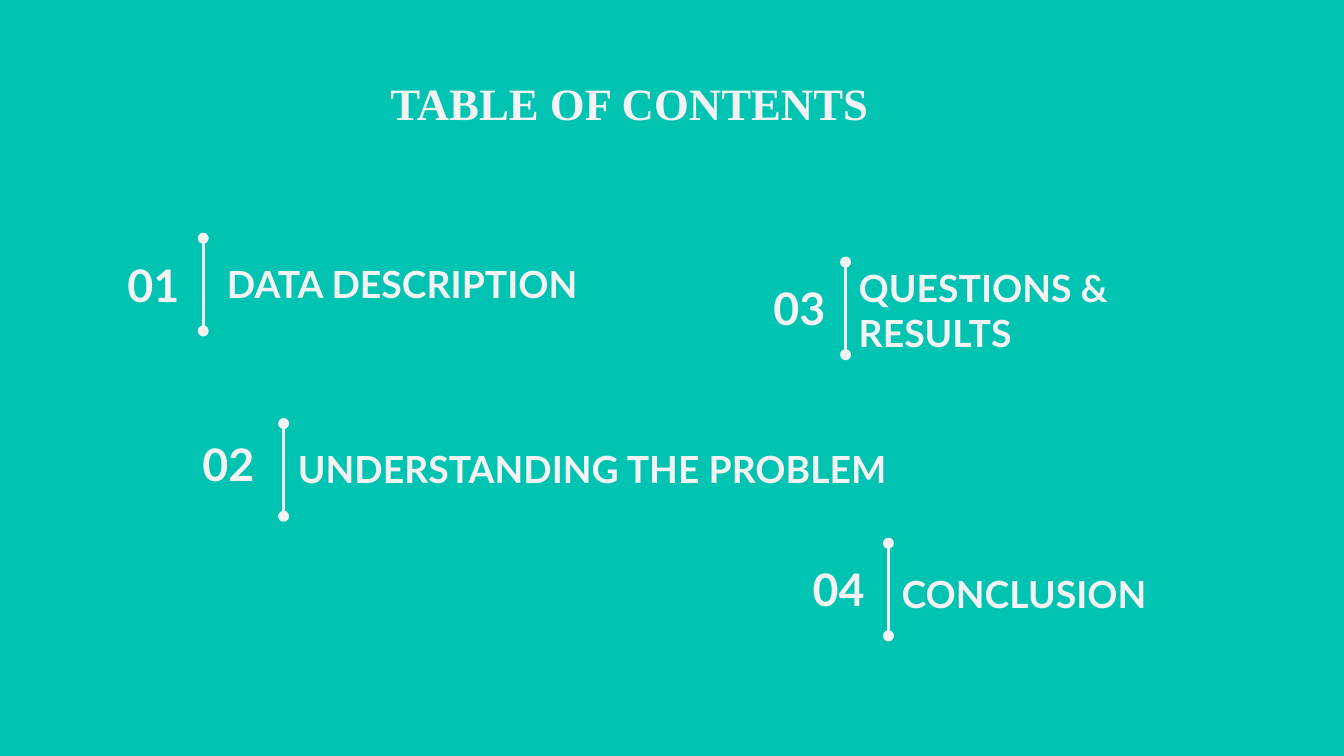
"""Build a table of contents slide with four numbered entries."""
from lxml.etree import SubElement
from pptx import Presentation
from pptx.dml.color import RGBColor
from pptx.enum.shapes import MSO_CONNECTOR
from pptx.enum.text import MSO_ANCHOR, MSO_AUTO_SIZE, PP_ALIGN
from pptx.oxml.ns import qn
from pptx.util import Cm, Pt

TEAL, WHITE = "00C3B1", "F3F3F3"
ROW_H, NUMBER_W, LINE_H = 1.17, 1.68, 1.75


def rgb(value):
    return RGBColor.from_string(value)


def put_text(sp, text, size=20, font="Lato", align=PP_ALIGN.LEFT, anchor=MSO_ANCHOR.MIDDLE):
    tf = sp.text_frame
    tf.word_wrap = True
    tf.auto_size = MSO_AUTO_SIZE.NONE
    tf.vertical_anchor = anchor
    tf.margin_left = tf.margin_right = tf.margin_top = tf.margin_bottom = Cm(0.25)
    p = tf.paragraphs[0]
    p.alignment = align
    r = p.add_run()
    r.text = text
    r.font.size = Pt(size)
    r.font.name = font
    r.font.bold = True
    r.font.color.rgb = rgb(WHITE)


prs = Presentation()
prs.slide_width, prs.slide_height = Cm(25.4), Cm(14.28)
s = prs.slides.add_slide(prs.slide_layouts[5])
s.background.fill.solid()
s.background.fill.fore_color.rgb = rgb(TEAL)

title = s.shapes.title
title.left, title.top, title.width, title.height = Cm(5.84), Cm(1.17), Cm(10.82), Cm(2.84)
put_text(title, "TABLE OF CONTENTS", size=24, font="Times New Roman",
         align=PP_ALIGN.RIGHT, anchor=MSO_ANCHOR.TOP)

entries = [
    ("DATA DESCRIPTION", (3.84, 4.5), (1.96, 4.8), (4.04, 4.78), 8.31),
    ("UNDERSTANDING THE PROBLEM", (5.36, 8), (3.38, 8.18), (5.38, 8.27), 11.71),
    ("QUESTIONS & RESULTS", (15.98, 4.95), (14.17, 5.23), (15.98, 5.28), 7.95),
    ("CONCLUSION", (16.79, 10.26), (14.91, 10.54), (16.79, 10.62), 6.5),
]
for i, (label, (x, y), number_at, label_at, label_w) in enumerate(entries, 1):
    line = s.shapes.add_connector(MSO_CONNECTOR.STRAIGHT, Cm(x), Cm(y), Cm(x), Cm(y + LINE_H))
    line.line.color.rgb = rgb(WHITE)
    line.line.width = Pt(1.5)
    ln = line.line._get_or_add_ln()
    for end in ("a:headEnd", "a:tailEnd"):
        SubElement(ln, qn(end), type="oval")
    SubElement(line._element.spPr, qn("a:effectLst"))

    for text, (left, top), width, size, align in (
        (f"{i:02}", number_at, NUMBER_W, 24, PP_ALIGN.RIGHT),
        (label, label_at, label_w, 20, PP_ALIGN.LEFT),
    ):
        sp = s.shapes.add_textbox(Cm(left), Cm(top), Cm(width), Cm(ROW_H))
        put_text(sp, text, size=size, align=align)

prs.save("out.pptx")
